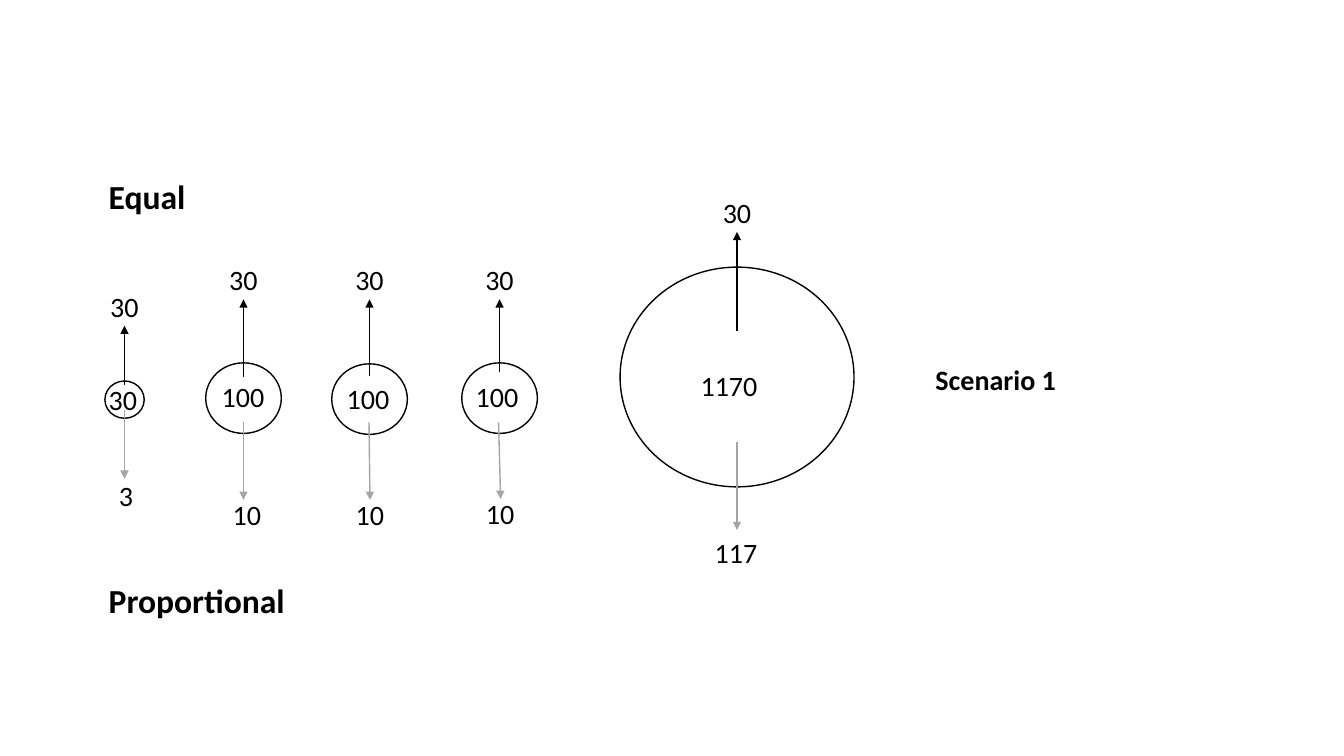
from dataclasses import dataclass

from lxml.etree import SubElement
from pptx import Presentation
from pptx.dml.color import RGBColor as Rgb
from pptx.enum.shapes import MSO_CONNECTOR as Connector, MSO_SHAPE as Preset
from pptx.enum.text import MSO_AUTO_SIZE as AutoSize
from pptx.oxml.ns import qn
from pptx.util import Inches, Pt


@dataclass(frozen=True)
class Theme:
    """Colours, font and type sizes of the slide."""
    ink: str = "000000"
    muted: str = "A5A5A5"
    font: str = "Calibri"
    heading: int = 24
    body: int = 20
    stroke: float = 1


@dataclass(frozen=True)
class Holder:
    """One circle with its equal and proportional share, in grid cells."""
    box: tuple
    total: str
    total_offset: tuple
    total_width: float
    cut: str
    cut_offset: tuple
    cut_width: float
    up: tuple
    down: tuple
    lean: float = 0


THEME = Theme()
CELL = Inches(0.1)
EQUAL_CUT = "30"
LABEL_WIDTH, LABEL_HEIGHT = 5.1, 4.4

HOLDERS = (
    Holder((10.4, 37.8, 3.9, 3.7), "30", (-2.55, -0.3), 5.1,
           "3", (-1.55, -0.5), LABEL_WIDTH, (0.4, 5.5), (0.8, 6)),
    Holder((20.4, 36, 7.5, 7), "100", (-3.15, 1.2), 8.5,
           "10", (-2.05, -0.7), LABEL_WIDTH, (1.4, 6.3), (1.1, 6.6)),
    Holder((32.9, 36.1, 7.5, 7), "100", (-3.25, 1.3), 6.8,
           "10", (-2.35, -0.7), LABEL_WIDTH, (1.2, 6.4), (1.2, 6.5), 0.1),
    Holder((45.8, 36, 7.5, 7), "100", (-3.35, 1.2), 7.5,
           "10", (-2.35, -0.7), LABEL_WIDTH, (0.9, 6.3), (1.1, 6.5), 0.2),
    Holder((61.5, 26.5, 23.2, 21.8), "1170", (-4.6, 9.6), 9.2,
           "117", (-3.2, 0), 9.6, (6.3, 3.5), (4.4, 4.3)),
)


def cells(*counts):
    """Convert grid cells to slide lengths."""
    return [round(count * CELL) for count in counts]


def add_text(slide, text, box, size=THEME.body, bold=False, color=THEME.ink):
    """Place one line of text in a box given in grid cells."""
    frame = slide.shapes.add_textbox(*cells(*box)).text_frame
    frame.word_wrap = True
    frame.auto_size = AutoSize.SHAPE_TO_FIT_TEXT
    run = frame.paragraphs[0].add_run()
    run.text = text
    run.font.name, run.font.size, run.font.bold = THEME.font, Pt(size), bold
    run.font.color.rgb = Rgb.from_string(color)


def set_stroke(line, color):
    """Give an outline the theme's weight and a colour."""
    line.color.rgb = Rgb.from_string(color)
    line.width = Pt(THEME.stroke)


def add_arrow(slide, start, end, color):
    """Draw a straight arrow between two grid points."""
    arrow = slide.shapes.add_connector(Connector.STRAIGHT, *cells(*start, *end))
    set_stroke(arrow.line, color)
    SubElement(arrow.line._get_or_add_ln(), qn("a:tailEnd"), type="triangle")
    SubElement(arrow._element.spPr, qn("a:effectLst"))


def add_holder(slide, holder):
    """Draw a circle, its total and the two shares leaving it."""
    left, top, width, height = holder.box
    center, bottom = left + width / 2, top + height
    circle = slide.shapes.add_shape(Preset.OVAL, *cells(*holder.box))
    circle.shadow.inherit = False
    circle.fill.background()
    set_stroke(circle.line, THEME.ink)

    up_start, up_reach = holder.up
    down_start, down_reach = holder.down
    up_tip, down_tip = top - up_reach, bottom + down_reach
    half_lean = holder.lean / 2
    add_arrow(slide, (center, top + up_start), (center, up_tip), THEME.ink)
    add_arrow(slide, (center - half_lean, bottom - down_start),
              (center + half_lean, down_tip), THEME.muted)

    labels = (
        (holder.total, holder.total_offset, top, holder.total_width),
        (holder.cut, holder.cut_offset, down_tip, holder.cut_width),
        (EQUAL_CUT, (-2.4, -4.1), up_tip, LABEL_WIDTH),
    )
    for text, (across, down), anchor, label_width in labels:
        add_text(slide, text,
                 (center + across, anchor + down, label_width, LABEL_HEIGHT))


def add_headings(slide, box):
    """Name the upper and lower rule at the top and bottom of the box."""
    left, top, width, height = box
    for text, row in (("Equal", top), ("Proportional", top + height - 5)):
        add_text(slide, text, (left, row, width, 5), size=THEME.heading, bold=True)


def build():
    """Build and save the slide."""
    deck = Presentation()
    deck.slide_width, deck.slide_height = Inches(13.33), Inches(7.5)
    slide = deck.slides.add_slide(deck.slide_layouts[6])
    for holder in HOLDERS:
        add_holder(slide, holder)
    add_headings(slide, (9.8, 17, 19.6, 45))
    add_text(slide, "Scenario 1", (91.8, 35.5, 14.9, LABEL_HEIGHT), bold=True)
    deck.save("out.pptx")


build()
